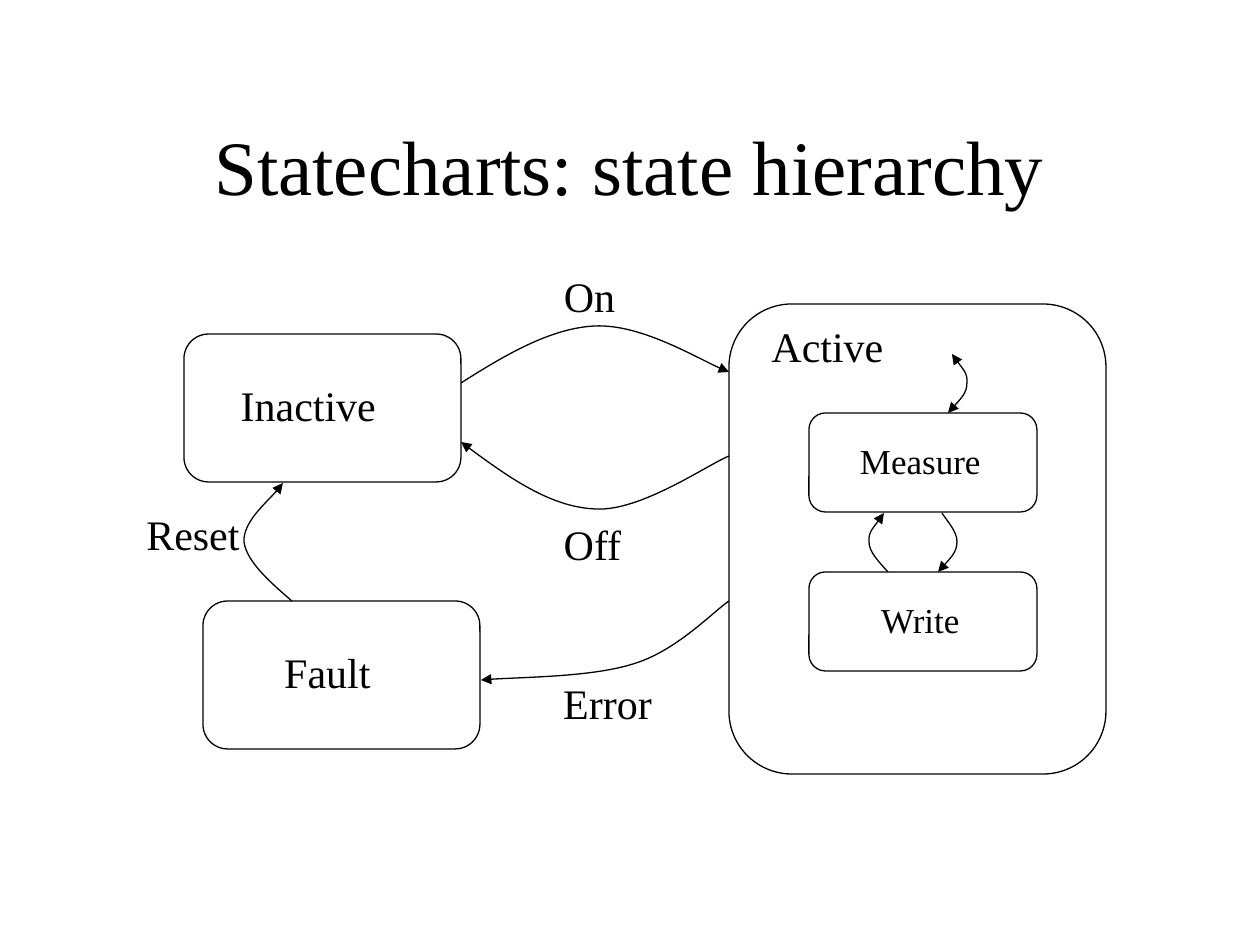
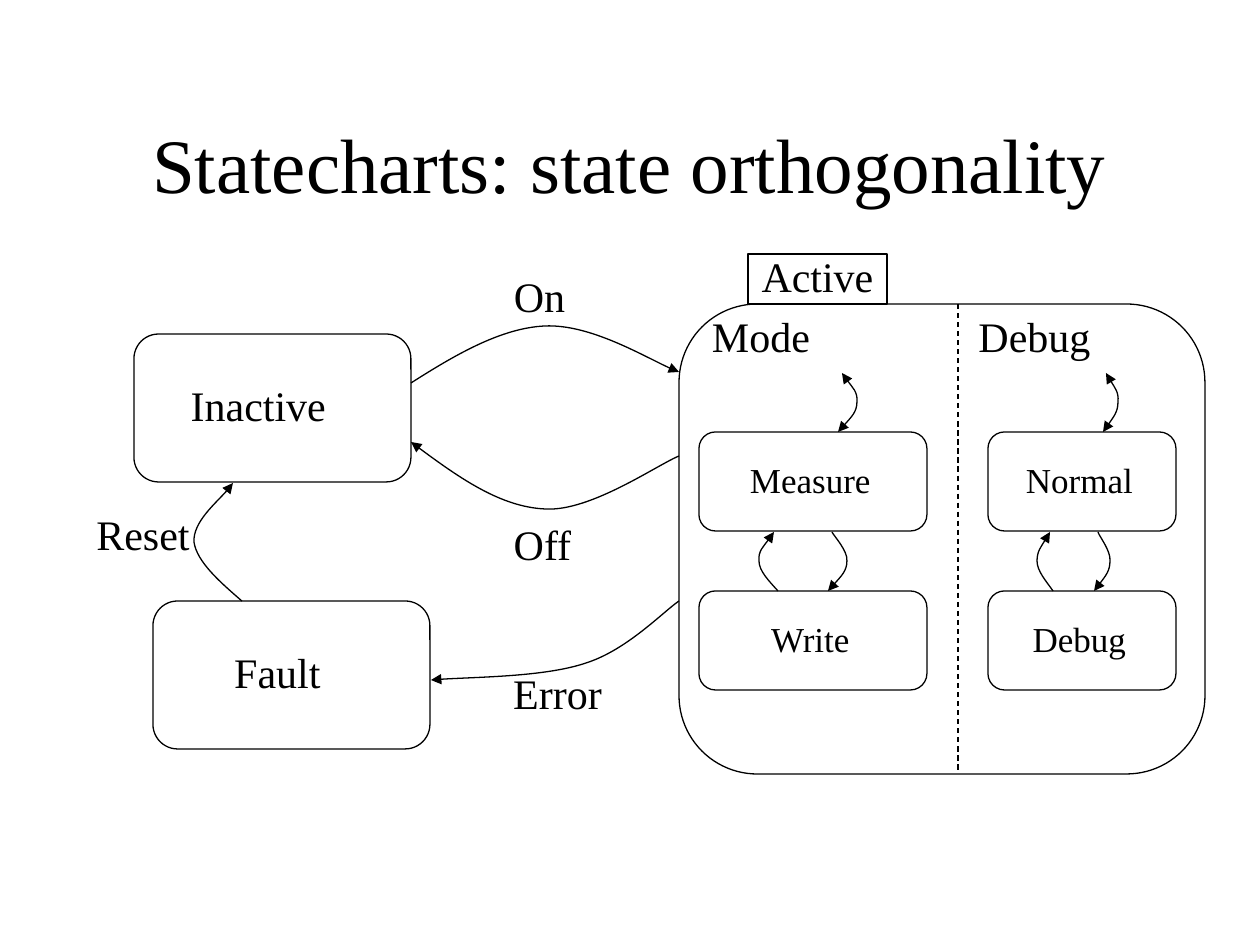
from pptx import Presentation
from pptx.dml.color import RGBColor
from pptx.enum.dml import MSO_LINE
from pptx.enum.shapes import MSO_CONNECTOR, MSO_SHAPE
from pptx.enum.text import MSO_ANCHOR, PP_ALIGN
from pptx.oxml.ns import qn
from pptx.util import Pt
from lxml.etree import SubElement

EMU_PER_PX = 914400 / 126
BLACK = RGBColor(0, 0, 0)
WHITE = RGBColor(255, 255, 255)
FONT = "Times New Roman"
ROUND = MSO_SHAPE.ROUNDED_RECTANGLE


def add_box(s, kind, box, text="", size=24, right=0, bottom=0):
    """Add an outlined shape, or a text box if kind is None; right and bottom are extra insets."""
    pos = [round(v * EMU_PER_PX) for v in box]
    if kind is None:
        sp = s.shapes.add_textbox(*pos)
    else:
        sp = s.shapes.add_shape(kind, *pos)
        sp.shadow.inherit = False
        sp.fill.background()
        sp.line.color.rgb = BLACK
        sp.line.width = Pt(0.75)
    if text:
        tf = sp.text_frame
        tf.word_wrap = False
        tf.margin_right += round(right * EMU_PER_PX)
        tf.margin_bottom += round(bottom * EMU_PER_PX)
        if kind is not None:
            tf.vertical_anchor = MSO_ANCHOR.MIDDLE
        p = tf.paragraphs[0]
        p.alignment = PP_ALIGN.CENTER
        r = p.add_run()
        r.text = text
        r.font.name = FONT
        r.font.size = Pt(size)
        r.font.color.rgb = BLACK
    return sp


def add_curve(s, points, ends):
    """Draw Bezier segments; ends names the line ends that carry an arrowhead."""
    fb = s.shapes.build_freeform(*points[0], scale=EMU_PER_PX)
    fb.add_line_segments(points[1:], close=False)
    sp = fb.convert_to_shape()
    sp.shadow.inherit = False
    sp.fill.background()
    sp.line.color.rgb = BLACK
    sp.line.width = Pt(0.75)
    # Turn every three straight segments into one cubic segment
    steps = list(sp._element.iter(qn("a:lnTo")))
    for i in range(0, len(steps), 3):
        cubic = SubElement(steps[i].getparent(), qn("a:cubicBezTo"))
        for step in steps[i:i + 3]:
            cubic.append(step[0])
            step.getparent().remove(step)
    for end in ends:
        SubElement(sp.line._get_or_add_ln(), qn(f"a:{end}"), type="triangle")


prs = Presentation()
prs.slide_width = round(1260 * EMU_PER_PX)
prs.slide_height = round(945 * EMU_PER_PX)

# Outer states and transitions, placed as on the first slide
STATES = [("Inactive", 184, 334), ("Fault", 203, 601)]
TRANSITIONS = [
    ([(461, 383), (505, 355), (551, 328), (595, 326), (640, 324), (707, 364), (729, 372)], ["tailEnd"]),
    ([(461, 442), (505, 475), (551, 507), (595, 509), (640, 512), (707, 465), (729, 456)], ["headEnd"]),
    ([(292, 601), (270, 582), (247, 562), (244, 542), (243, 522), (277, 493), (283, 483)], ["tailEnd"]),
    ([(729, 601), (713, 612), (677, 650), (636, 663), (595, 677), (513, 677), (481, 680)], ["tailEnd"]),
]
EVENTS = [("On", 549, 264, 81), ("Off", 549, 512, 87), ("Reset", 129, 502, 128)]

# Substates: two stacked boxes; each hop bows out from its start point
SUB_W, SUB_H, SUB_PITCH = 228, 99, 159
BOW = [(0, 0), (9, -10), (19, -20), (19, -30), (20, -40), (6, -55), (4, -59)]
HOPS = [
    (79, SUB_PITCH, -1, ["tailEnd"]),
    (129, SUB_PITCH, 1, ["headEnd"]),
    (139, 0, 1, ["headEnd", "tailEnd"]),
]

# Title, title top, shift of the outer part, Error top, Active frame, regions
SLIDES = [
    ("Statecharts: state hierarchy", 86, 0, 671, (729, 304, 377, 470),
     [(809, 413, SUB_W, ("Measure", "Write"))]),
    ("Statecharts: state orthogonality", 84, -50, 661, (679, 304, 526, 470),
     [(699, 432, SUB_W, ("Measure", "Write")), (988, 432, 188, ("Normal", "Debug"))]),
]

for title, title_top, dx, error_top, frame, regions in SLIDES:
    s = prs.slides.add_slide(prs.slide_layouts[6])
    s.background.fill.solid()
    s.background.fill.fore_color.rgb = WHITE

    sp = add_box(s, None, (94, title_top, 1071, 158), title, 44)
    sp.text_frame.word_wrap = True
    sp.text_frame.vertical_anchor = MSO_ANCHOR.MIDDLE

    # Outer statechart
    add_box(s, ROUND, frame)
    for name, x, y in STATES:
        add_box(s, ROUND, (x + dx, y, 277, 148), name, right=28, bottom=6)
    for points, ends in TRANSITIONS:
        add_curve(s, [(x + dx, y) for x, y in points], ends)
    for event, x, y, w in EVENTS + [("Error", 546, error_top, 123)]:
        add_box(s, None, (x + dx, y, w, 63), event)

    # Regions inside the Active state
    for left, top, w, names in regions:
        k = w / SUB_W
        for row, name in enumerate(names):
            add_box(s, ROUND, (left, top + row * SUB_PITCH, w, SUB_H), name, 20, right=5, bottom=4)
        for x, y, side, ends in HOPS:
            add_curve(s, [(left + (x + side * bx) * k, top + y + by) for bx, by in BOW], ends)

# Name of the composite state on the first slide
add_box(prs.slides[0], None, (757, 314, 141, 63), "Active")

# Name tab, region names and divider on the second slide
s = prs.slides[1]
add_box(s, MSO_SHAPE.RECTANGLE, (748, 254, 139, 50), "Active", bottom=6)
for name, x, y, w in [("Mode", 697, 304, 128), ("Debug", 964, 304, 141)]:
    add_box(s, None, (x, y, w, 63), name)
divider = s.shapes.add_connector(
    MSO_CONNECTOR.STRAIGHT, *[round(v * EMU_PER_PX) for v in (958, 304, 958, 770)])
divider.line.color.rgb = BLACK
divider.line.width = Pt(0.75)
divider.line.dash_style = MSO_LINE.DASH
SubElement(divider._element.spPr, qn("a:effectLst"))

prs.save("out.pptx")
